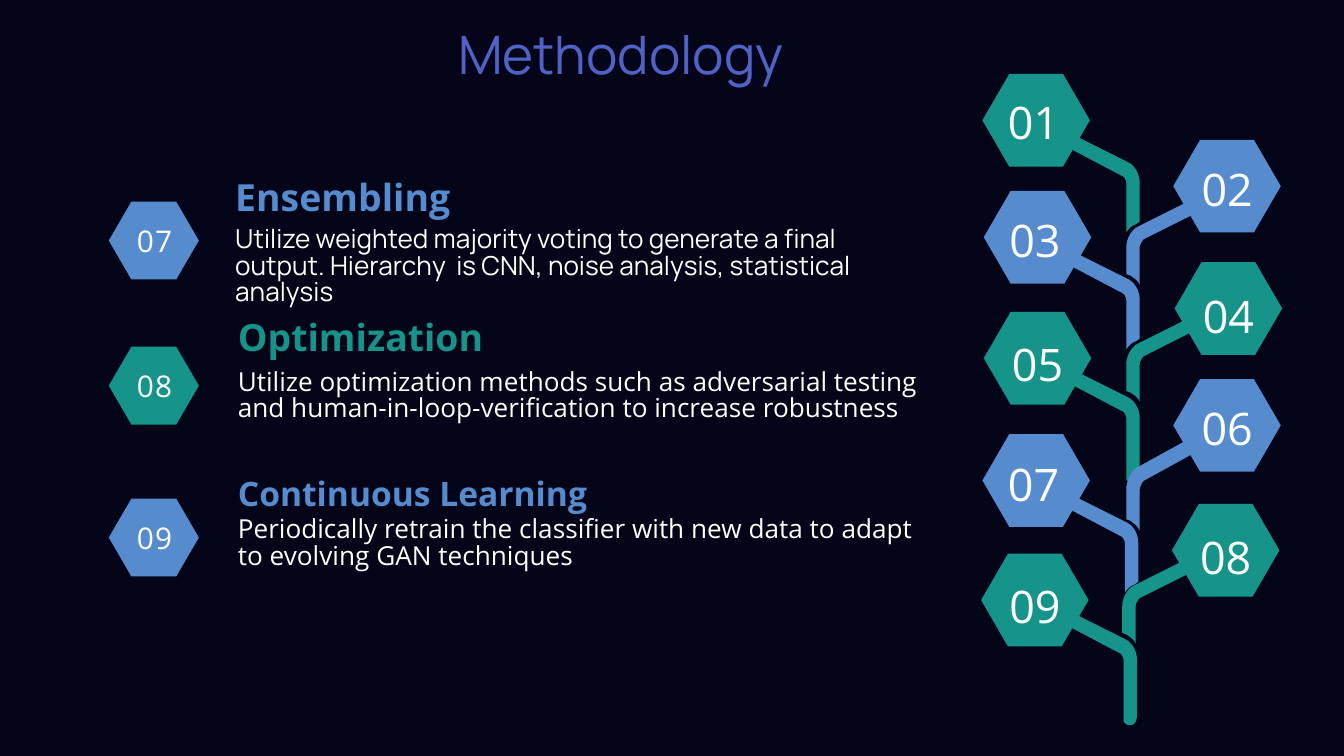
from pptx import Presentation
from pptx.dml.color import RGBColor
from pptx.enum.shapes import MSO_SHAPE
from pptx.enum.text import MSO_ANCHOR, MSO_AUTO_SIZE, PP_ALIGN
from pptx.util import Inches, Pt

HUES = {"night": "05051A", "blue": "568CCD", "green": "16948A",
        "title": "5062C6", "white": "FFFFFF"}
OPEN, MAN = "Open Sans", "Manrope"

deck = Presentation()
deck.slide_width = Inches(10)
deck.slide_height = Inches(10 * 9 / 16)
slide = deck.slides.add_slide(deck.slide_layouts[6])
slide.background.fill.solid()
slide.background.fill.fore_color.rgb = RGBColor.from_string(HUES["night"])
shapes = slide.shapes


def paint(shape, hue):
    shape.fill.solid()
    shape.fill.fore_color.rgb = RGBColor.from_string(HUES[hue])
    shape.line.fill.background()
    shape.shadow.inherit = False


def write(text, box, size, lead, font=OPEN, hue="white", bold=False, mid=False):
    label = shapes.add_textbox(*map(Inches, box))
    frame = label.text_frame
    frame.word_wrap = True
    frame.auto_size = MSO_AUTO_SIZE.SHAPE_TO_FIT_TEXT
    frame.margin_left = frame.margin_right = 0
    frame.margin_top = frame.margin_bottom = 0
    para = frame.paragraphs[0]
    para.text = text
    para.line_spacing = Pt(lead)
    para.alignment = PP_ALIGN.CENTER if mid else PP_ALIGN.LEFT
    para.font.size, para.font.name, para.font.bold = Pt(size), font, bold
    para.font.color.rgb = RGBColor.from_string(HUES[hue])
    return label


bend = [(0.41, 0.34), (0.41, 0.32, 0.39, 0.29, 0.38, 0.29), (0, 0.09),
        (0.02, 0.07, 0.04, 0.04, 0.05, 0), (0.43, 0.19),
        (0.48, 0.22, 0.51, 0.28, 0.51, 0.34)]
limbs = {
    "left": [(0.51, 0.34), (0.51, 0.63), (0.48, 0.65),
             (0.45, 0.66, 0.43, 0.68, 0.41, 0.71)] + bend,
    "long": [(0.51, 0.34), (0.51, 0.75), (0.51, 0.81, 0.48, 0.84, 0.43, 0.82),
             (0.41, 0.8)] + bend,
    "right": [(0.51, 0.09), (0.13, 0.28), (0.12, 0.29, 0.1, 0.32, 0.1, 0.34),
              (0.1, 0.62), (0.09, 0.59, 0.06, 0.57, 0.03, 0.55), (0, 0.54),
              (0, 0.34), (0, 0.28, 0.04, 0.21, 0.08, 0.19), (0.46, 0),
              (0.47, 0.03, 0.49, 0.06, 0.51, 0.09)],
}
STEPS = 8
nodes = [
    ("03", "left", "blue", 7.97, 1.89, 1, 7.32, 1.42, 7.36, 1.52),
    ("01", "left", "green", 7.97, 1.02, 1, 7.31, 0.55, 7.35, 0.64),
    ("05", "long", "green", 7.97, 2.77, 1, 7.32, 2.32, 7.38, 2.44),
    ("02", "right", "blue", 8.38, 1.5, 1, 8.73, 1.04, 8.79, 1.14),
    ("04", "right", "green", 8.38, 2.37, 1, 8.74, 1.95, 8.8, 2.08),
    ("06", "right", "blue", 8.38, 3.27, 1.1, 8.73, 2.82, 8.79, 2.92),
    ("07", "left", "blue", 7.96, 3.7, 1, 7.31, 3.23, 7.35, 3.33),
    ("09", "long", "green", 7.95, 4.57, 1, 7.3, 4.12, 7.36, 4.24),
    ("08", "right", "green", 8.35, 4.17, 1, 8.72, 3.75, 8.78, 3.88),
]
for num, limb, hue, left, top, tall, hexx, hexy, numx, numy in nodes:
    dots = []
    for part in limbs[limb]:
        if len(part) == 2:
            dots.append(part)
            continue
        ends = [dots[-1], part[:2], part[2:4], part[4:]]
        for step in range(1, STEPS + 1):
            t = step / STEPS
            mix = [(1 - t) ** 3, 3 * t * (1 - t) ** 2, 3 * t * t * (1 - t), t ** 3]
            dots.append(tuple(sum(m * e[axis] for m, e in zip(mix, ends))
                              for axis in (0, 1)))
    dots = [(Inches(left + x), Inches(top + y * tall)) for x, y in dots]
    pen = shapes.build_freeform(*dots[0])
    pen.add_line_segments(dots[1:], close=True)
    paint(pen.convert_to_shape(), hue)

    badge = shapes.add_shape(MSO_SHAPE.HEXAGON, Inches(hexx), Inches(hexy),
                             Inches(0.8), Inches(0.69))
    badge.adjustments[0] = 0.29
    paint(badge, hue)
    write(num, (numx, numy, 0.68, 0.44), 24, 33.5, mid=True)

write("Methodology", (3.41, 0.08, 4.16, 0.51), 28.4, 39.8, MAN, "title")

steps = [
    ("07", "blue", 1.5, "Ensembling", 20, 1.75, 1.34, 2.19, 1.69, 4.71, 0.59, MAN,
     "Utilize weighted majority voting to generate a final output. "
     "Hierarchy  is CNN, noise analysis, statistical analysis"),
    ("08", "green", 2.58, "Optimization", 20, 1.77, 2.38, 2.09, 2.75, 5.24, 0.39, OPEN,
     "Utilize optimization methods such as adversarial testing "
     "and human-in-loop-verification to increase robustness"),
    ("09", "blue", 3.71, "Continuous Learning", 18, 1.77, 3.53, 2.79, 3.85, 5.24, 0.39, OPEN,
     "Periodically retrain the classifier with new data to adapt "
     "to evolving GAN techniques"),
]
for num, hue, top, head, size, left, heady, span, texty, wide, high, font, text in steps:
    badge = shapes.add_shape(MSO_SHAPE.HEXAGON, Inches(0.81), Inches(top),
                             Inches(0.67), Inches(0.58))
    badge.adjustments[0] = 0.29
    paint(badge, hue)
    label = write(num, (0.91, top - 0.05, 0.48, 0.63), 16, 22.4, mid=True)
    label.text_frame.auto_size = MSO_AUTO_SIZE.NONE
    label.text_frame.vertical_anchor = MSO_ANCHOR.MIDDLE
    run = label.text_frame.paragraphs[0].runs[0]
    run.font._element.set("spc", "80")
    write(head, (left, heady, span, 0.29), size, 20.9, OPEN, hue, True)
    write(text, (left, texty, wide, high), 14, 14.3, font)

deck.save("out.pptx")
